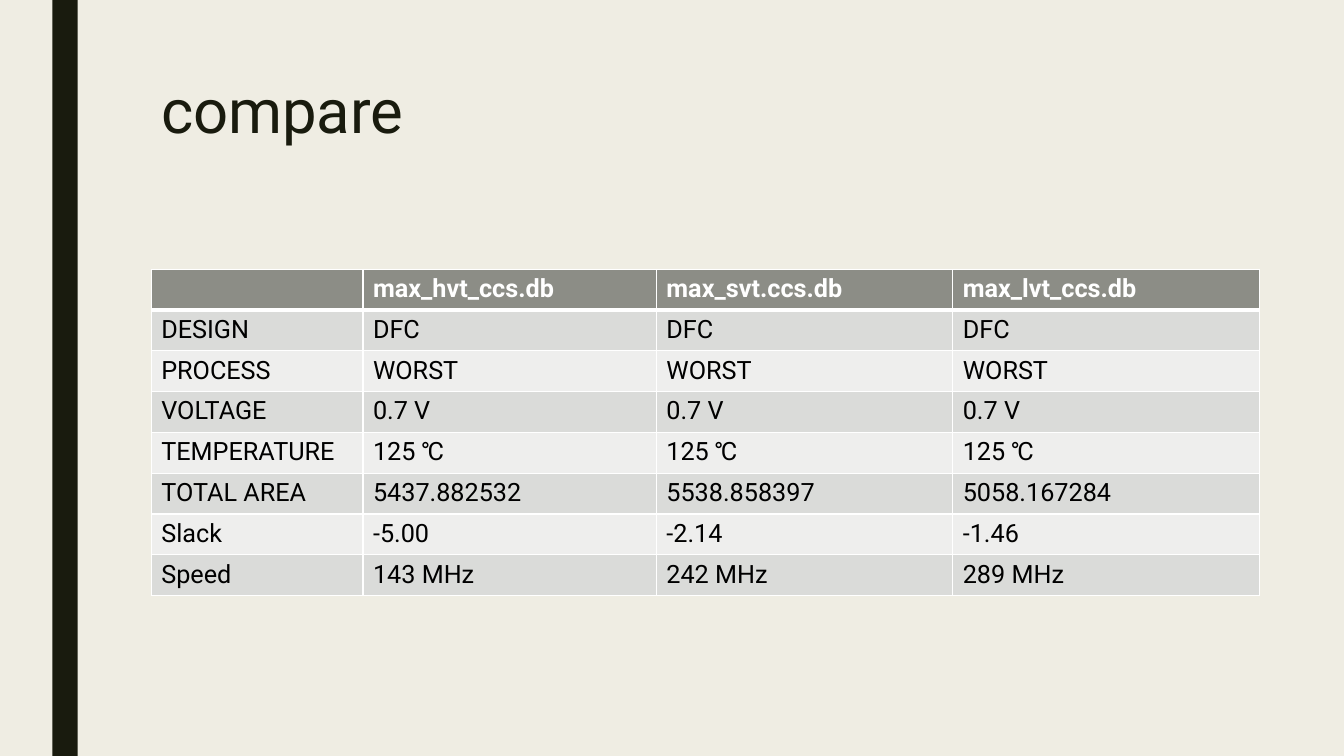
from dataclasses import dataclass

from lxml import etree
from pptx import Presentation
from pptx import util as u
from pptx.dml.color import RGBColor
from pptx.enum import shapes, text
from pptx.oxml import ns

BACKGROUND = RGBColor(0xEF, 0xED, 0xE3)
DARK = RGBColor(0x19, 0x1B, 0x0E)
HEADER_FILL = RGBColor(0x8C, 0x8D, 0x86)
ODD_FILL = RGBColor(0xDA, 0xDB, 0xD9)
EVEN_FILL = RGBColor(0xEE, 0xEE, 0xED)
WHITE = RGBColor(0xFF, 0xFF, 0xFF)
BLACK = RGBColor(0x00, 0x00, 0x00)
FONT = "Roboto"

COLUMN_WIDTHS = (2.1, 2.91, 2.94, 3.04)
ROW_HEIGHT = 0.405
TABLE_ROWS = (
    ("", "max_hvt_ccs.db", "max_svt.ccs.db", "max_lvt_ccs.db"),
    ("DESIGN", "DFC", "DFC", "DFC"),
    ("PROCESS", "WORST", "WORST", "WORST"),
    ("VOLTAGE", "0.7 V", "0.7 V", "0.7 V"),
    ("TEMPERATURE", "125 ℃", "125 ℃", "125 ℃"),
    ("TOTAL AREA", "5437.882532", "5538.858397", "5058.167284"),
    ("Slack", "-5.00", "-2.14", "-1.46"),
    ("Speed", "143 MHz", "242 MHz", "289 MHz"),
)


@dataclass(frozen=True)
class RowStyle:
    fill: RGBColor
    color: RGBColor
    bold: bool = False
    top: float = 1
    bottom: float = 1


def row_style(index: int) -> RowStyle:
    if index == 0:
        return RowStyle(HEADER_FILL, WHITE, bold=True, bottom=3)
    fill = ODD_FILL if index % 2 else EVEN_FILL
    return RowStyle(fill, BLACK, top=3 if index == 1 else 1)


def format_runs(paragraph, size: float, color: RGBColor, bold: bool = False) -> None:
    for run in paragraph.runs:
        run.font.name = FONT
        run.font.size = u.Pt(size)
        run.font.bold = bold
        run.font.color.rgb = color


def add_borders(cell, style: RowStyle) -> None:
    properties = cell._tc.get_or_add_tcPr()
    for side, width in (("L", 1), ("R", 1), ("T", style.top), ("B", style.bottom)):
        line = etree.SubElement(properties, ns.qn(f"a:ln{side}"), w=str(u.Pt(width)))
        fill = etree.SubElement(line, ns.qn("a:solidFill"))
        etree.SubElement(fill, ns.qn("a:srgbClr"), val=str(WHITE))


def add_side_bar(slide) -> None:
    bar = slide.shapes.add_shape(
        shapes.MSO_SHAPE.RECTANGLE, u.Inches(0.52), 0, u.Inches(0.25), u.Inches(7.5))
    bar.shadow.inherit = False
    bar.fill.solid()
    bar.fill.fore_color.rgb = DARK
    bar.line.fill.background()


def add_title(slide, title: str) -> None:
    box = slide.shapes.add_textbox(
        u.Inches(1.5), u.Inches(0.75), u.Inches(10.5), u.Inches(1.62))
    frame = box.text_frame
    frame.word_wrap = True
    frame.vertical_anchor = text.MSO_ANCHOR.TOP
    frame.text = title
    paragraph = frame.paragraphs[0]
    paragraph.line_spacing = 0.89
    format_runs(paragraph, 44, DARK)


def add_comparison_table(slide) -> None:
    table = slide.shapes.add_table(
        len(TABLE_ROWS), len(COLUMN_WIDTHS), u.Inches(1.5), u.Inches(2.67),
        u.Inches(sum(COLUMN_WIDTHS)), u.Inches(ROW_HEIGHT * len(TABLE_ROWS))).table
    for column, width in zip(table.columns, COLUMN_WIDTHS):
        column.width = u.Inches(width)
    for index, (row, values) in enumerate(zip(table.rows, TABLE_ROWS)):
        row.height = u.Inches(ROW_HEIGHT)
        style = row_style(index)
        for cell, value in zip(row.cells, values):
            add_borders(cell, style)
            cell.fill.solid()
            cell.fill.fore_color.rgb = style.fill
            cell.text_frame.text = value
            format_runs(cell.text_frame.paragraphs[0], 18, style.color, style.bold)


def main() -> None:
    presentation = Presentation()
    presentation.slide_width = u.Inches(13.33)
    presentation.slide_height = u.Inches(7.5)
    slide = presentation.slides.add_slide(presentation.slide_layouts[6])

    # Background and side bar
    slide.background.fill.solid()
    slide.background.fill.fore_color.rgb = BACKGROUND
    add_side_bar(slide)

    # Title and comparison of the libraries
    add_title(slide, "compare")
    add_comparison_table(slide)

    presentation.save("out.pptx")


if __name__ == "__main__":
    main()
